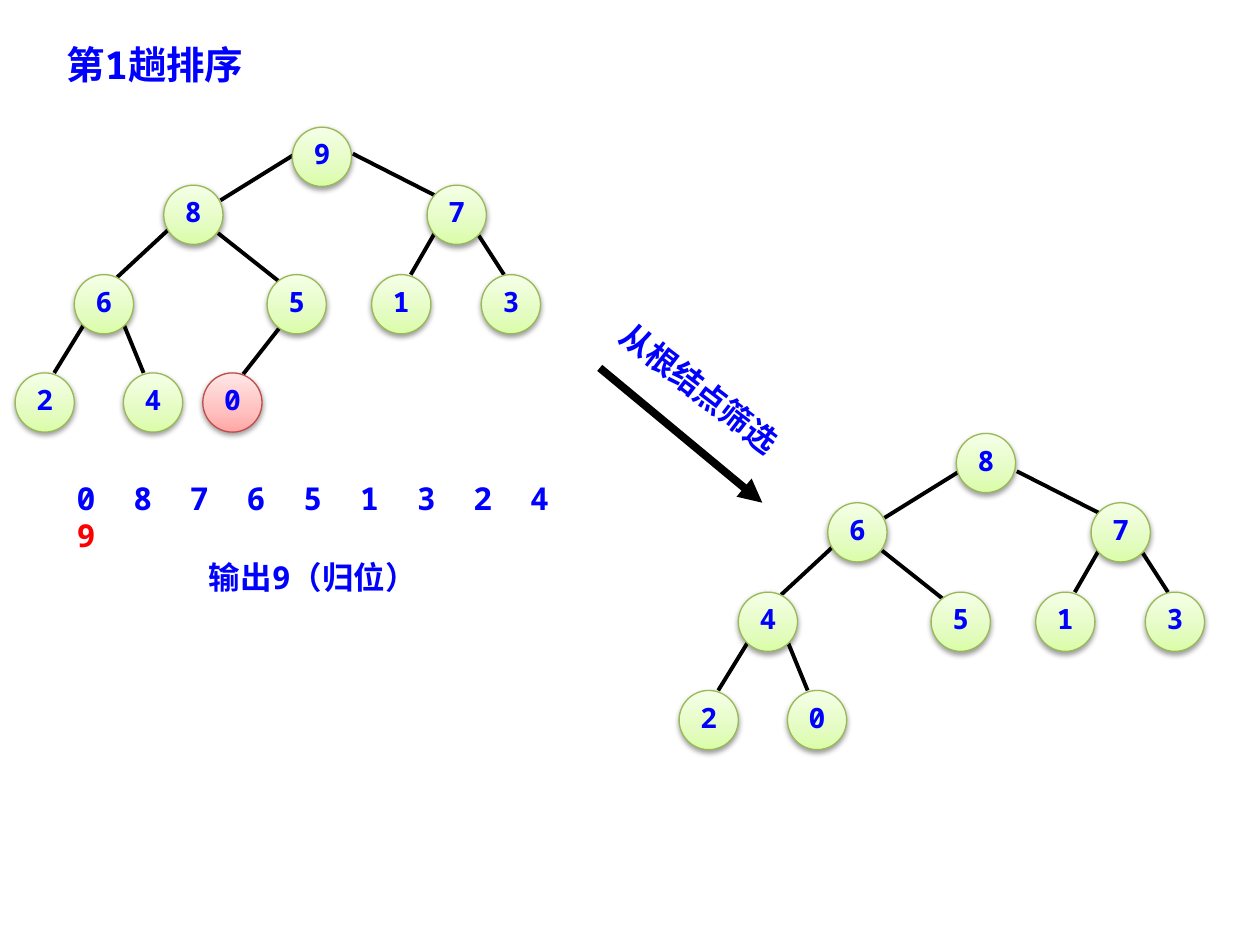
from copy import deepcopy

from lxml.etree import SubElement
from pptx import Presentation
from pptx.dml.color import RGBColor
from pptx.enum.shapes import MSO_CONNECTOR, MSO_SHAPE
from pptx.enum.text import MSO_ANCHOR, MSO_AUTO_SIZE, PP_ALIGN
from pptx.oxml.ns import qn
from pptx.util import Inches, Pt

SLIDE_WIDTH, SLIDE_HEIGHT = Inches(10), Inches(7.5)
COLUMN, ROW = SLIDE_WIDTH / 100, SLIDE_HEIGHT / 75

BLACK = RGBColor(0x00, 0x00, 0x00)
BLUE = RGBColor(0x00, 0x00, 0xFF)
RED = RGBColor(0xFF, 0x00, 0x00)
GREEN_EDGE = RGBColor(0x98, 0xB9, 0x55)
PINK_EDGE = RGBColor(0xBF, 0x4C, 0x48)
GREEN_STOPS = [(0, RGBColor(0xDA, 0xFD, 0xA7)), (0.35, RGBColor(0xE4, 0xFC, 0xC2)),
               (1, RGBColor(0xF5, 0xFF, 0xE7))]
PINK_STOPS = [(0, RGBColor(0xFF, 0xA6, 0xA5)), (0.35, RGBColor(0xFF, 0xC0, 0xBF)),
              (1, RGBColor(0xFF, 0xE7, 0xE7))]

MONO, CJK = "Noto Sans Mono", "Noto Sans CJK SC"
NODE_SIZE = 4.7
NODE_SPOTS = [(22, 0), (11.8, 4.6), (32.7, 4.6), (4.7, 11.7), (20, 11.7),
              (28.3, 11.7), (37, 11.7), (0, 19.5), (8.6, 19.5), (14.9, 19.5)]
BRANCHES = [(22.1, 2.2, 16.3, 5.8), (26.8, 2.1, 33.3, 5.4), (12.2, 8.1, 8.1, 11.9),
            (16.1, 8.4, 20.9, 12.2), (33.3, 8.4, 31.4, 11.7), (36.8, 8.6, 38.8, 11.7),
            (5.5, 15.6, 3.1, 19.5), (8.6, 15.6, 10.2, 19.5), (21, 15.9, 18.1, 19.6)]


def cells(left, top, width, height):
    return [round(n) for n in (left * COLUMN, top * ROW, width * COLUMN, height * ROW)]


def write_text(frame, text, size=18, font=MONO, color=BLUE, align=PP_ALIGN.LEFT, spacing=None):
    paragraph = frame.paragraphs[0]
    paragraph.alignment = align
    if spacing:
        paragraph.line_spacing = spacing
    run = paragraph.add_run()
    run.text = text
    run.font.size = Pt(size)
    run.font.bold = True
    run.font.name = font
    run.font.color.rgb = color
    SubElement(run.font._element, qn("a:ea"), typeface=CJK)


def add_caption(slide, box, text, **style):
    caption = slide.shapes.add_textbox(*cells(*box))
    caption.text_frame.word_wrap = True
    caption.text_frame.auto_size = MSO_AUTO_SIZE.SHAPE_TO_FIT_TEXT
    write_text(caption.text_frame, text, **style)
    return caption


def add_line(slide, start_x, start_y, end_x, end_y, weight, arrow=False):
    connector = slide.shapes.add_connector(
        MSO_CONNECTOR.STRAIGHT, *cells(start_x, start_y, end_x, end_y))
    connector.line.color.rgb = BLACK
    connector.line.width = Pt(weight)
    if arrow:
        SubElement(connector.line._get_or_add_ln(), qn("a:tailEnd"), type="triangle")
    SubElement(connector._element.spPr, qn("a:effectLst"))


def fill_gradient(node, stops):
    node.fill.gradient()
    stop_list = node._element.spPr.find(".//" + qn("a:gsLst"))
    stop_list.append(deepcopy(stop_list[-1]))
    for stop, (position, color) in zip(node.fill.gradient_stops, stops):
        stop.position = position
        stop.color.rgb = color
    node.fill.gradient_angle = 90


def cast_shadow(node):
    node.shadow.inherit = False
    effects = node._element.spPr.find(qn("a:effectLst"))
    shadow = SubElement(effects, qn("a:outerShdw"), blurRad=str(Pt(3.1)),
                        dist=str(Pt(1.6)), dir="5400000", rotWithShape="0")
    shade = SubElement(shadow, qn("a:srgbClr"), val=str(BLACK))
    SubElement(shade, qn("a:alpha"), val="38000")


def add_node(slide, left, top, key, removed):
    node = slide.shapes.add_shape(MSO_SHAPE.OVAL, *cells(left, top, NODE_SIZE, NODE_SIZE))
    fill_gradient(node, PINK_STOPS if removed else GREEN_STOPS)
    node.line.color.rgb = PINK_EDGE if removed else GREEN_EDGE
    node.line.width = Pt(0.75)
    cast_shadow(node)
    node.text_frame.word_wrap = False
    node.text_frame.vertical_anchor = MSO_ANCHOR.MIDDLE
    write_text(node.text_frame, key, size=16, align=PP_ALIGN.CENTER, spacing=0.8)


def add_heap(slide, left, top, keys, root_lift=0, removed=None):
    for x1, y1, x2, y2 in BRANCHES[:len(keys) - 1]:
        add_line(slide, left + x1, top + y1, left + x2, top + y2, 2.25)
    for index, (key, (x, y)) in enumerate(zip(keys, NODE_SPOTS)):
        lift = root_lift if index == 0 else 0
        add_node(slide, left + x, top + y - lift, key, key == removed)


def add_sequence(slide, box, waiting, placed):
    sequence = slide.shapes.add_textbox(*cells(*box))
    frame = sequence.text_frame
    frame.word_wrap = True
    frame.auto_size = MSO_AUTO_SIZE.SHAPE_TO_FIT_TEXT
    stops = SubElement(frame.paragraphs[0]._p.get_or_add_pPr(), qn("a:tabLst"))
    for index in range(1, len(waiting)):
        SubElement(stops, qn("a:tab"), pos=str(round(index * 4.5 * COLUMN)), algn="l")
    write_text(frame, "\t".join(waiting))
    frame.paragraphs[0].add_line_break()
    write_text(frame, placed, color=RED)


def add_sift_arrow(slide, left, top, width, height):
    add_line(slide, left, top, left + width, top + height, 4.5, arrow=True)
    label = add_caption(slide, (left - 1.7, top + 0.1, 18.9, 3.4), "从根结点筛选",
                        font=CJK, align=PP_ALIGN.CENTER, spacing=0.8)
    label.rotation = 37.5


def main():
    deck = Presentation()
    deck.slide_width, deck.slide_height = SLIDE_WIDTH, SLIDE_HEIGHT
    slide = deck.slides.add_slide(deck.slide_layouts[6])
    add_heap(slide, 1.2, 10.1, "9876513240", removed="0")
    add_caption(slide, (15.6, 43.8, 25.2, 4), "输出9（归位）")
    add_sift_arrow(slide, 47.6, 29.2, 12.9, 10.7)
    add_heap(slide, 53.9, 35.3, "867451320", root_lift=0.9)
    add_sequence(slide, (5.1, 37.5, 43.4, 4), "087651324", "9")
    add_caption(slide, (4.3, 2.8, 21.3, 4.7), "第1趟排序", size=22)
    deck.save("out.pptx")


if __name__ == "__main__":
    main()
